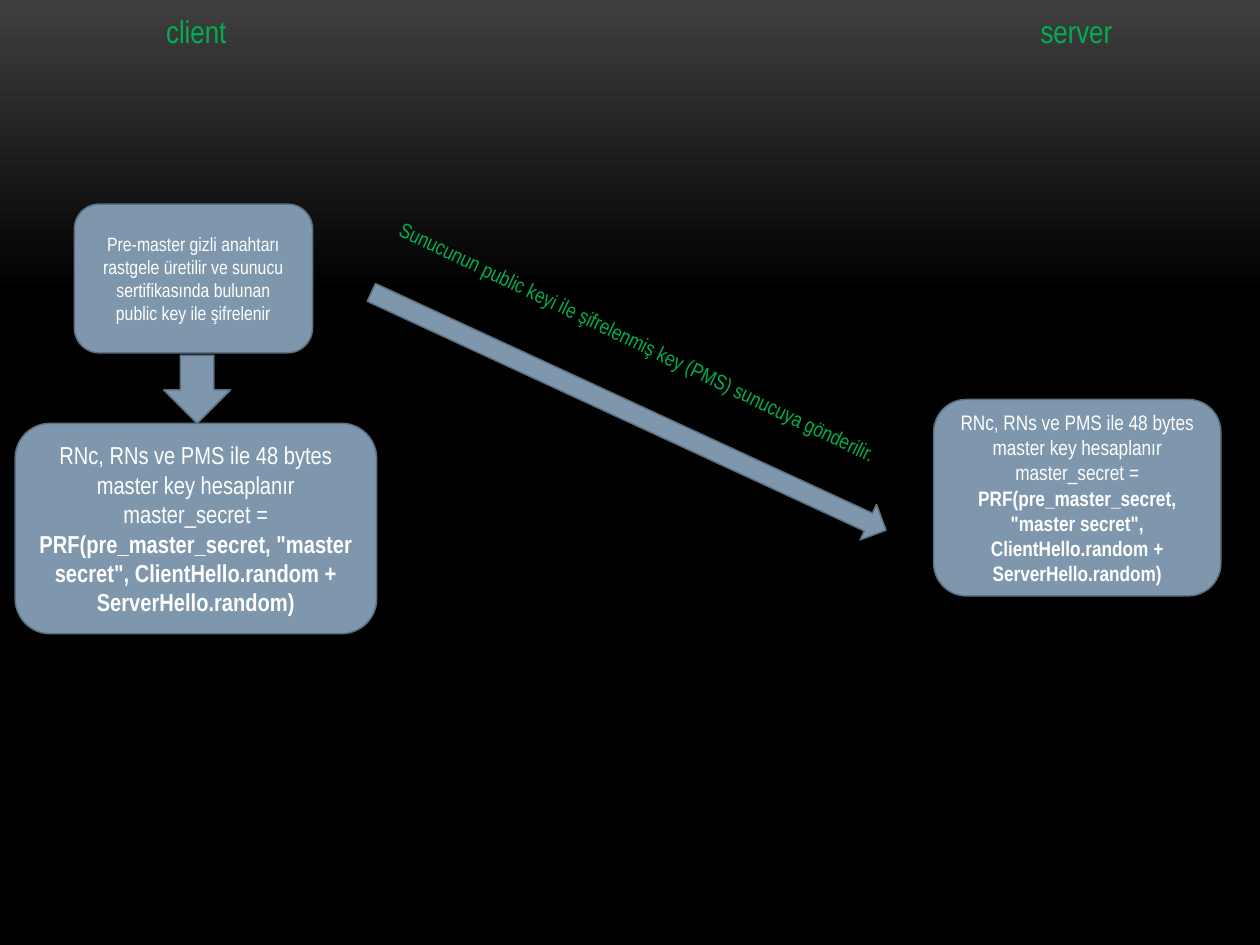
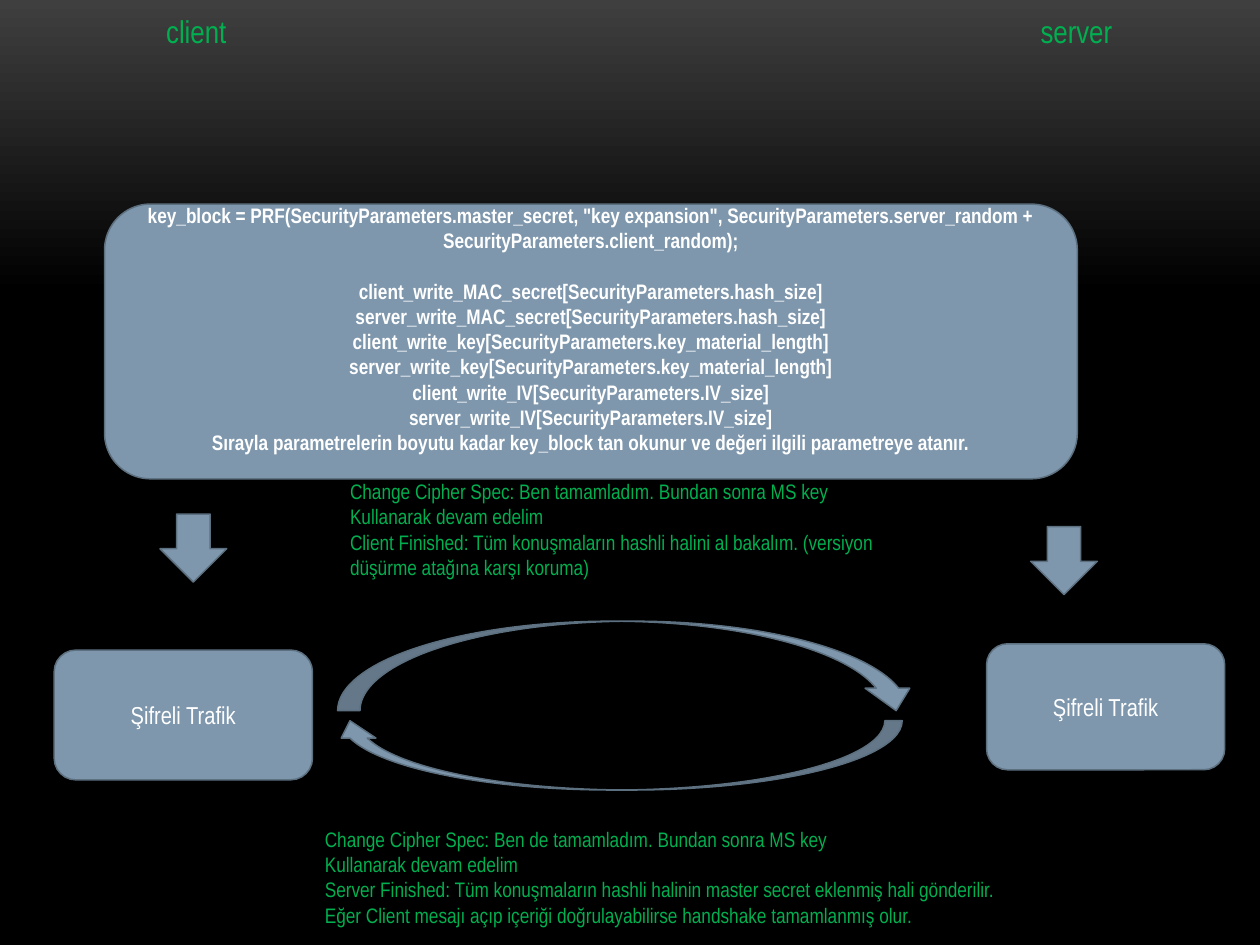
import pptx
import pptx.dml.color
import pptx.enum.shapes
import pptx.enum.text
import pptx.util

Inches = pptx.util.Inches
Pt = pptx.util.Pt
RGBColor = pptx.dml.color.RGBColor
SHAPE = pptx.enum.shapes.MSO_SHAPE
ALIGN = pptx.enum.text.PP_ALIGN
ANCHOR = pptx.enum.text.MSO_ANCHOR
AUTO_SIZE = pptx.enum.text.MSO_AUTO_SIZE

GREEN = RGBColor(0x00, 0xB0, 0x50)
STEEL = RGBColor(0x7E, 0x97, 0xAD)
SLATE = RGBColor(0x5D, 0x70, 0x80)
WHITE = RGBColor(0xFF, 0xFF, 0xFF)
CHARCOAL = RGBColor(0x3F, 0x3F, 0x3F)
BLACK = RGBColor(0x00, 0x00, 0x00)
FONT = "Arial Narrow"

ARROW_WIDTH, ARROW_HEIGHT = 0.53, 0.54

MASTER_SECRET = [
    [("RNc, RNs ve PMS ile 48 bytes master key hesaplanır", False)],
    [("master_secret = ", False),
     ('PRF(pre_master_secret, "master secret", ClientHello.random + ServerHello.random)', True)],
]
KEY_BLOCK = ('key_block = PRF(SecurityParameters.master_secret, "key expansion", '
             "SecurityParameters.server_random + SecurityParameters.client_random);")
KEY_PARTS = [("MAC_secret", "hash_size"), ("key", "key_material_length"), ("IV", "IV_size")]
KEY_NOTE = "Sırayla parametrelerin boyutu kadar key_block tan okunur ve değeri ilgili parametreye atanır."
CLIENT_FINISHED = [
    "Change Cipher Spec: Ben tamamladım. Bundan sonra MS key",
    "Kullanarak devam edelim",
    "Client Finished: Tüm konuşmaların hashli halini al bakalım. (versiyon düşürme atağına karşı koruma)",
]
SERVER_FINISHED = [
    "Change Cipher Spec: Ben de tamamladım. Bundan sonra MS key",
    "Kullanarak devam edelim",
    "Server Finished: Tüm konuşmaların hashli halinin master secret eklenmiş hali gönderilir.",
    "Eğer Client mesajı açıp içeriği doğrulayabilirse handshake tamamlanmış olur.",
]


def plain(*lines):
    """Turn lines into paragraphs of one regular run each."""
    return [[(line, False)] for line in lines]


def write(frame, paragraphs, size, color, align):
    """Fill a text frame with paragraphs of (text, bold) runs."""
    for index, runs in enumerate(paragraphs):
        paragraph = frame.paragraphs[0] if index == 0 else frame.add_paragraph()
        paragraph.alignment = align
        for text, bold in runs:
            run = paragraph.add_run()
            run.text = text
            run.font.name, run.font.size = FONT, Pt(size)
            run.font.bold, run.font.color.rgb = bold, color


def add_figure(slide, kind, box, rotation=0):
    """Add a steel-coloured preset shape in a box given in inches."""
    shape = slide.shapes.add_shape(kind, *map(Inches, box))
    shape.shadow.inherit = False
    shape.fill.solid()
    shape.fill.fore_color.rgb = STEEL
    shape.line.color.rgb = SLATE
    shape.line.width = Pt(0.85)
    shape.rotation = rotation
    return shape


def add_card(slide, box, paragraphs, size):
    """Add a rounded card with centred white text."""
    card = add_figure(slide, SHAPE.ROUNDED_RECTANGLE, box)
    card.text_frame.word_wrap = True
    card.text_frame.vertical_anchor = ANCHOR.MIDDLE
    write(card.text_frame, paragraphs, size, WHITE, ALIGN.CENTER)
    return card


def add_label(slide, box, paragraphs, size, wrap=False, rotation=0):
    """Add green text that sits directly on the background."""
    label = slide.shapes.add_textbox(*map(Inches, box))
    label.rotation = rotation
    label.text_frame.word_wrap = wrap
    label.text_frame.auto_size = AUTO_SIZE.SHAPE_TO_FIT_TEXT
    write(label.text_frame, paragraphs, size, GREEN, ALIGN.LEFT)


def add_down_arrow(slide, left, top):
    """Add a small arrow that points down."""
    add_figure(slide, SHAPE.DOWN_ARROW, (left, top, ARROW_WIDTH, ARROW_HEIGHT))


def add_handshake_slide(presentation):
    """Add a slide with the gradient background and both party names."""
    slide = presentation.slides.add_slide(presentation.slide_layouts[6])
    fill = slide.background.fill
    fill.gradient()
    fill.gradient_angle = 270
    for stop, position, color in zip(fill.gradient_stops, (0, 0.31), (CHARCOAL, BLACK)):
        stop.position = position
        stop.color.rgb = color
    add_label(slide, (1.22, 0.05, 0.69, 0.4), plain("client"), 18)
    add_label(slide, (8.16, 0.05, 0.78, 0.4), plain("server"), 18)
    return slide


def client_secret(slide, left, top):
    """Draw the client steps from pre-master secret to master secret."""
    add_card(slide, (left + 0.47, top, 1.89, 1.18), plain(
        "Pre-master gizli anahtarı rastgele üretilir ve sunucu sertifikasında "
        "bulunan public key ile şifrelenir"), 11)
    add_card(slide, (left, top + 1.74, 2.87, 1.67), MASTER_SECRET, 14)
    add_down_arrow(slide, left + 1.18, top + 1.2)


def secret_transfer(slide, left, top):
    """Draw the slanted arrow and its caption."""
    add_figure(slide, SHAPE.RIGHT_ARROW, (left, top + 0.55, 4.5, 0.31), 24.8)
    add_label(slide, (left + 0.14, top, 4.36, 0.3), plain(
        "Sunucunun public keyi ile şifrelenmiş key (PMS) sunucuya gönderilir."),
        12, rotation=25.7)


def key_expansion(slide, box):
    """Draw the card that lists the keys cut from the key block."""
    card = add_card(slide, box, [[(KEY_BLOCK, True)], [], [(KEY_NOTE, True)]], 12)
    card.text_frame.margin_bottom = Inches(0.25)
    keys = card.text_frame.paragraphs[1]
    keys.space_before = Pt(14.4)
    names = [f"{party}_write_{part}[SecurityParameters.{size}]"
             for part, size in KEY_PARTS for party in ("client", "server")]
    for index, name in enumerate(names):
        if index:
            keys.add_line_break()
        run = keys.add_run()
        run.text = name
        run.font.name, run.font.size = FONT, Pt(12)
        run.font.bold, run.font.color.rgb = True, WHITE


def encrypted_traffic(slide, arrow, box):
    """Draw one party's arrow and its encrypted traffic card."""
    add_down_arrow(slide, *arrow)
    add_card(slide, box, plain("Şifreli Trafik"), 14)


def finished_exchange(slide, left, top):
    """Draw the curved arrows between the parties with both messages."""
    add_figure(slide, SHAPE.CURVED_DOWN_ARROW, (left + 0.2, top + 1.18, 4.61, 0.71))
    reply = add_figure(slide, SHAPE.CURVED_UP_ARROW, (left + 0.16, top + 1.97, 4.52, 0.55))
    reply._element.spPr.xfrm.set("flipH", "1")
    add_label(slide, (left + 0.2, top, 4.43, 0.91), plain(*CLIENT_FINISHED), 12, wrap=True)
    add_label(slide, (left, top + 2.76, 5.96, 0.91), plain(*SERVER_FINISHED), 12, wrap=True)


def master_secret_slide(presentation):
    """Build the slide on the master secret."""
    slide = add_handshake_slide(presentation)
    client_secret(slide, 0.12, 1.62)
    secret_transfer(slide, 2.74, 2.56)
    add_card(slide, (7.41, 3.17, 2.28, 1.56), MASTER_SECRET, 12)


def key_block_slide(presentation):
    """Build the slide on key expansion and the end of the handshake."""
    slide = add_handshake_slide(presentation)
    key_expansion(slide, (0.83, 1.62, 7.72, 2.18))
    encrypted_traffic(slide, (1.27, 4.08), (0.43, 5.16, 2.05, 1.03))
    encrypted_traffic(slide, (8.18, 4.18), (7.83, 5.11, 1.89, 1))
    finished_exchange(slide, 2.48, 3.75)


def main():
    """Build and save the presentation."""
    presentation = pptx.Presentation()
    presentation.slide_width, presentation.slide_height = Inches(10), Inches(7.5)
    master_secret_slide(presentation)
    key_block_slide(presentation)
    presentation.save("out.pptx")


if __name__ == "__main__":
    main()
